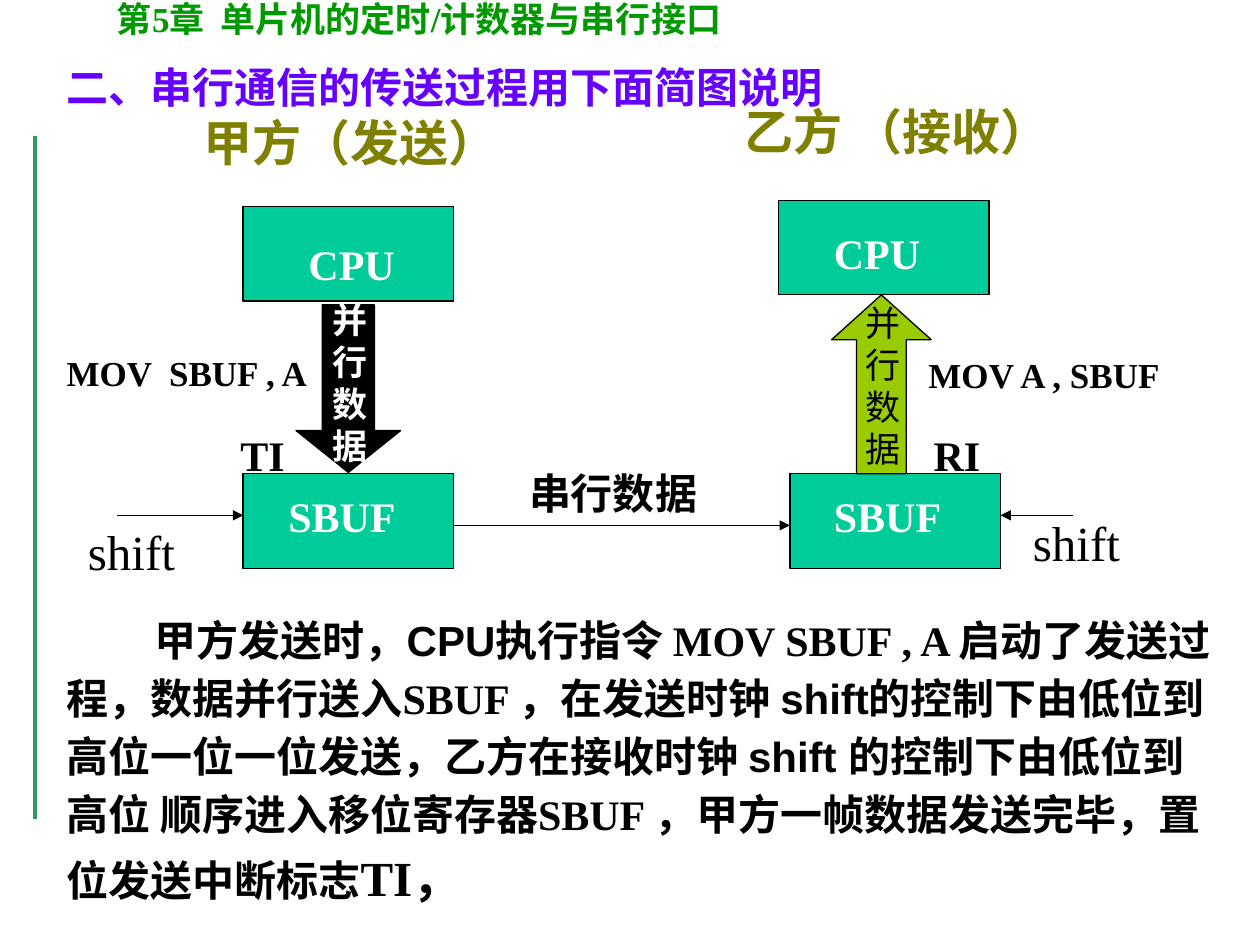
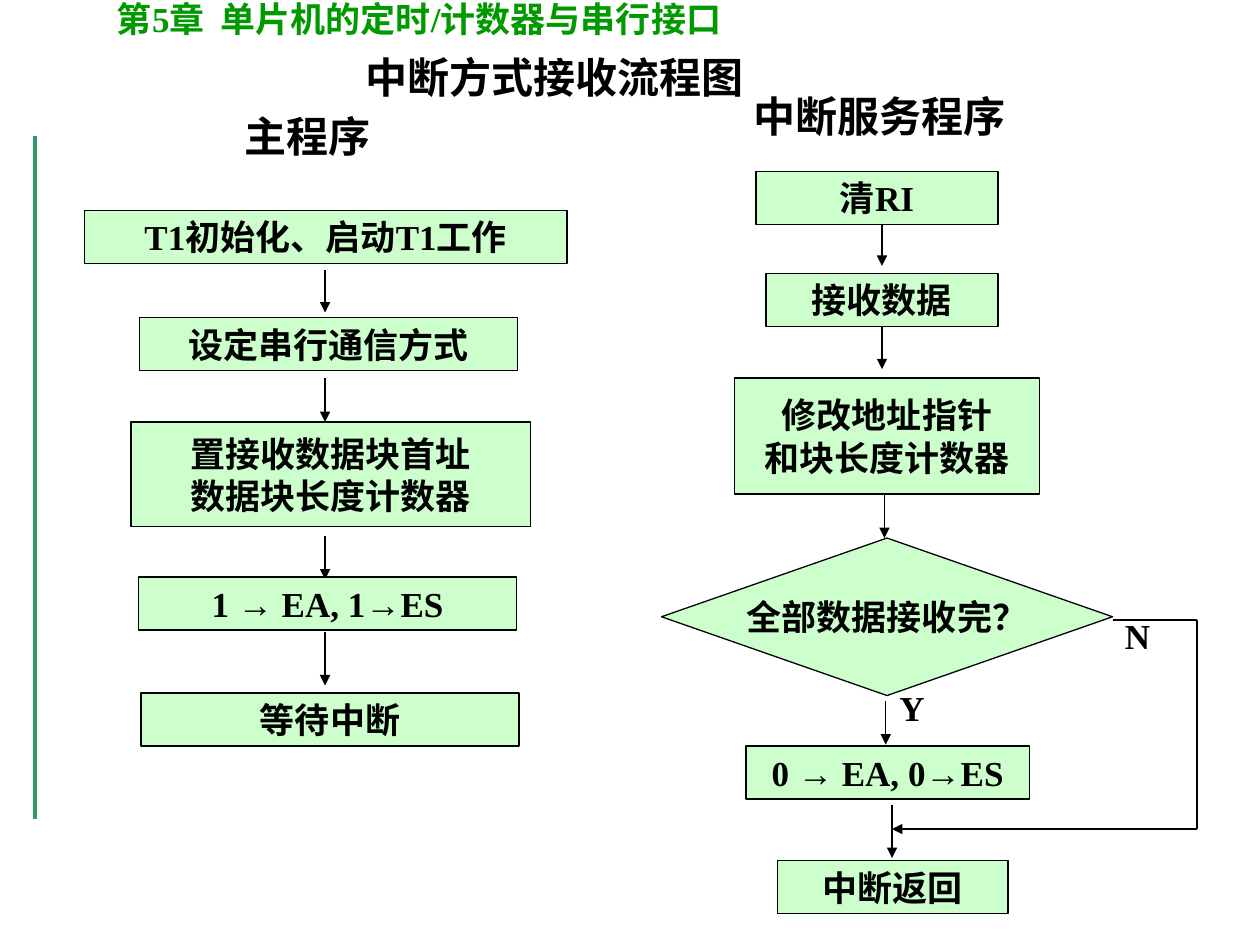
"""Build two slides on serial communication: the transfer diagram and the receive flowchart."""
from typing import NamedTuple

from lxml import etree
from pptx import Presentation
from pptx import util as u
from pptx.dml.color import RGBColor
from pptx.enum import shapes, text
from pptx.oxml import ns

SCALE = 9144
SERIF, SANS = "Times New Roman", "Arial"
CENTER = text.PP_ALIGN.CENTER
KIND = shapes.MSO_SHAPE
COLORS = {
    "black": "000000", "white": "FFFFFF", "header": "009900", "rule": "339966",
    "title": "6600FF", "party": "808000", "register": "00CC99",
    "receive": "99CC00", "step": "CCFFCC",
}


class Run(NamedTuple):
    """A stretch of text with its own font."""
    text: str
    font: str = SERIF
    size: int = 24


class Label(NamedTuple):
    """A free-standing text box."""
    text: str
    x: int
    y: int
    width: int
    height: int
    size: int = 24
    color: str = "black"
    bold: bool = True
    font: str = SERIF
    align: text.PP_ALIGN | None = None
    wrap: bool = True


class Block(NamedTuple):
    """A filled preset shape with a black outline."""
    x: int
    y: int
    width: int
    height: int
    fill: str
    kind: KIND = KIND.RECTANGLE
    adjustments: tuple[float, ...] = ()


class Step(NamedTuple):
    """A flowchart step with centred text."""
    content: str | tuple[Run, ...]
    x: int
    y: int
    width: int
    height: int = 42
    kind: KIND = KIND.FLOWCHART_PROCESS


class Line(NamedTuple):
    """A straight line, usually ending in an arrowhead."""
    x1: int
    y1: int
    x2: int
    y2: int
    arrow: bool = True
    color: str = "black"
    weight: float = 0.75


HEADER = Label("第5章  单片机的定时/计数器与串行接口", 83, -7, 575, 44, 20, "header")
SIDE_RULE = Line(28, 108, 28, 650, False, "rule", 2.25)

TRANSFER_BLOCKS = (
    Block(193, 164, 167, 75, "register"),
    Block(193, 376, 167, 75, "register"),
    Block(627, 376, 167, 75, "register"),
    Block(618, 159, 167, 75, "register"),
    Block(235, 242, 83, 133, "black", KIND.DOWN_ARROW, (0.5, 0.4)),
    Block(660, 234, 79, 142, "receive", KIND.UP_ARROW, (0.5, 0.45)),
)
TRANSFER_LINES = (
    Line(360, 417, 627, 417),
    Line(93, 409, 193, 409),
    Line(852, 409, 794, 409),
)
TRANSFER_LABELS = (
    Label("二、串行通信的传送过程用下面简图说明", 43, 44, 850, 60, 24, "title"),
    Label("甲方（发送）", 152, 84, 258, 57, 28, "party"),
    Label("乙方 （接收）", 581, 76, 275, 57, 28, "party"),
    Label("CPU", 235, 184, 100, 50, color="white"),
    Label("CPU", 652, 176, 100, 50, color="white"),
    Label("SBUF", 219, 384, 125, 50, color="white"),
    Label("SBUF", 652, 384, 125, 50, color="white"),
    Label("并行数据", 254, 232, 58, 144, 20, "white"),
    Label("并行数据", 677, 234, 42, 144, 20, bold=False),
    Label("MOV  SBUF , A", 43, 274, 233, 44, 20),
    Label("MOV A , SBUF", 727, 276, 225, 44, 20),
    Label("TI", 177, 336, 63, 50, align=CENTER),
    Label("RI", 728, 336, 63, 50, align=CENTER),
    Label("串行数据", 410, 366, 175, 50),
    Label("shift", 60, 409, 110, 57, 28, bold=False),
    Label("shift", 810, 402, 110, 57, 28, bold=False),
)
EXPLANATION = (
    Run("甲方发送时，CPU执行", SANS),
    Run("指令 MOV SBUF , A "),
    Run("启动了发送过程，数据并行送入", SANS),
    Run("SBUF "),
    Run("，在发送时钟 shift的控制下由低位到高位一位一位发送，"
        "乙方在接收时钟 shift 的控制下由低位到高位 顺序进入移位寄存器", SANS),
    Run("SBUF "),
    Run("，甲方一帧数据发送完毕，置位发送中断标志", SANS),
    Run("TI，", size=28),
)


def assignments(digit: int) -> tuple[Run, ...]:
    """Return the runs that write one digit to EA and ES."""
    arrow = Run("→", SANS, 20)
    return (Run(f"{digit} ", size=20), arrow, Run(f" EA, {digit}", size=20),
            arrow, Run("ES", size=20))


FLOW_LABELS = (
    Label("中断方式接收流程图", 280, 36, 320, 50, font=SANS, wrap=False),
    Label("主程序", 184, 83, 120, 50, wrap=False),
    Label("中断服务程序", 588, 67, 220, 50, wrap=False),
    Label("Y", 704, 540, 50, 44, 20),
    Label("N", 883, 483, 50, 44, 20),
)
MAIN_X = 258
FLOW_LINES = (
    *(Line(MAIN_X, top, MAIN_X, bottom)
      for top, bottom in ((214, 248), (300, 335), (425, 460), (502, 544))),
    Line(700, 161, 700, 211),
    Line(702, 369, 702, 427),
    Line(703, 556, 703, 591),
    Line(708, 639, 708, 681),
    Line(883, 492, 950, 492, False),
    Line(950, 492, 950, 658, False),
    Line(950, 658, 708, 658),
)
RECEIVE_STEP = Step("接收数据", 608, 217, 184)
AFTER_RECEIVE = Line(700, 259, 700, 293)
FLOW_STEPS = (
    Step("T1初始化、启动T1工作", 67, 167, 383),
    Step("设定串行通信方式", 111, 252, 300),
    Step("置接收数据块首址\n数据块长度计数器", 104, 335, 317, 83),
    Step(assignments(1), 110, 458, 300),
    Step("等待中断", 112, 550, 300),
    Step("清RI", 600, 136, 192),
    Step("修改地址指针\n和块长度计数器", 583, 300, 242, 92),
    Step("全部数据接收完？", 525, 427, 358, 125, KIND.FLOWCHART_DECISION),
    Step(assignments(0), 592, 592, 225),
    Step("中断返回", 617, 683, 183),
)


def px(*lengths: int) -> list[u.Emu]:
    """Turn px lengths into EMU."""
    return [u.Emu(length * SCALE) for length in lengths]


def rgb(name: str) -> RGBColor:
    """Look up a named colour."""
    return RGBColor.from_string(COLORS[name])


def format_run(run, font: str, size: int, color: str = "black", bold: bool = True) -> None:
    """Apply font, size, colour and weight to a run."""
    run.font.name, run.font.size, run.font.bold = font, u.Pt(size), bold
    run.font.color.rgb = rgb(color)


def write_runs(paragraph, runs: tuple[Run, ...]) -> None:
    """Fill a paragraph with runs of mixed fonts."""
    for part in runs:
        run = paragraph.add_run()
        run.text = part.text
        format_run(run, part.font, part.size)


def add_label(slide, label: Label) -> None:
    """Draw a text box in one style."""
    frame = slide.shapes.add_textbox(*px(*label[1:5])).text_frame
    frame.word_wrap = label.wrap
    frame.text = label.text
    paragraph = frame.paragraphs[0]
    paragraph.alignment = label.align
    format_run(paragraph.runs[0], label.font, label.size, label.color, label.bold)


def add_block(slide, block: Block):
    """Draw a filled shape and return it."""
    shape = slide.shapes.add_shape(block.kind, *px(*block[:4]))
    shape.shadow.inherit = False
    shape.fill.solid()
    shape.fill.fore_color.rgb = rgb(block.fill)
    shape.line.color.rgb = rgb("black")
    shape.line.width = u.Pt(0.75)
    for index, value in enumerate(block.adjustments):
        shape.adjustments[index] = value
    return shape


def add_step(slide, step: Step):
    """Draw a flowchart step and return its shape."""
    shape = add_block(slide, Block(*step[1:5], "step", step.kind))
    frame = shape.text_frame
    frame.word_wrap = False
    frame.vertical_anchor = text.MSO_ANCHOR.MIDDLE
    if isinstance(step.content, str):
        frame.text = step.content
        for paragraph in frame.paragraphs:
            format_run(paragraph.runs[0], SERIF, 20)
    else:
        write_runs(frame.paragraphs[0], step.content)
    for paragraph in frame.paragraphs:
        paragraph.alignment = CENTER
    return shape


def add_line(slide, line: Line):
    """Draw a straight connector and return it."""
    connector = slide.shapes.add_connector(shapes.MSO_CONNECTOR.STRAIGHT, *px(*line[:4]))
    connector.line.color.rgb = rgb(line.color)
    connector.line.width = u.Pt(line.weight)
    properties = connector._element.spPr
    if line.arrow:
        etree.SubElement(properties.find(ns.qn("a:ln")), ns.qn("a:tailEnd"), type="triangle")
    etree.SubElement(properties, ns.qn("a:effectLst"))
    return connector


def add_slide(presentation):
    """Add a blank slide with the side rule and chapter header."""
    slide = presentation.slides.add_slide(presentation.slide_layouts[6])
    add_line(slide, SIDE_RULE)
    add_label(slide, HEADER)
    return slide


def build_transfer(presentation) -> None:
    """Build the slide on how a serial transfer works."""
    slide = add_slide(presentation)
    for block in TRANSFER_BLOCKS:
        add_block(slide, block)
    for line in TRANSFER_LINES:
        add_line(slide, line)
    for label in TRANSFER_LABELS:
        add_label(slide, label)
    frame = slide.shapes.add_textbox(*px(43, 477, 930, 256)).text_frame
    frame.word_wrap = True
    paragraph = frame.paragraphs[0]
    paragraph.line_spacing = 1.15
    paragraph._p.get_or_add_pPr().set("indent", str(px(70)[0]))
    write_runs(paragraph, EXPLANATION)


def build_flowchart(presentation) -> None:
    """Build the slide with the interrupt receive flowchart."""
    slide = add_slide(presentation)
    for line in FLOW_LINES:
        add_line(slide, line)
    for step in FLOW_STEPS:
        add_step(slide, step)
    receive = add_step(slide, RECEIVE_STEP)
    add_line(slide, AFTER_RECEIVE).begin_connect(receive, 2)
    for label in FLOW_LABELS:
        add_label(slide, label)


def main() -> None:
    """Build and save the presentation."""
    presentation = Presentation()
    presentation.slide_width, presentation.slide_height = px(1000, 750)
    build_transfer(presentation)
    build_flowchart(presentation)
    presentation.save("out.pptx")


if __name__ == "__main__":
    main()
